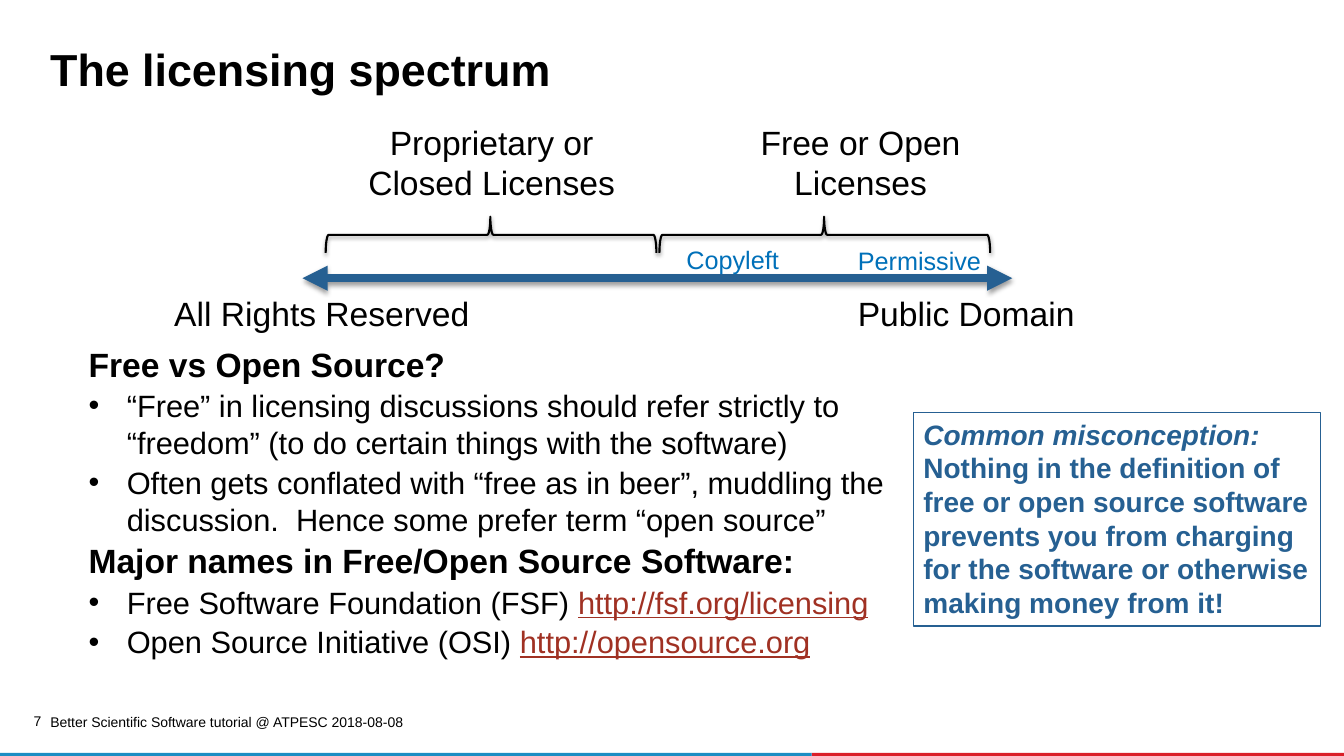
"""Build the licensing spectrum slide."""
from dataclasses import dataclass

from lxml import etree
from pptx import Presentation
from pptx import util as u
from pptx.dml.color import RGBColor
from pptx.enum import shapes, text
from pptx.oxml import ns

BLACK = RGBColor(0x00, 0x00, 0x00)
STEEL = RGBColor(0x26, 0x60, 0x92)
SKY = RGBColor(0x00, 0x70, 0xB9)
LINK = RGBColor(0xA0, 0x31, 0x23)
BAR_BLUE = RGBColor(0x1B, 0x8D, 0xC3)
BAR_RED = RGBColor(0xDA, 0x1F, 0x28)
LEFT, CENTER, RIGHT = text.PP_ALIGN.LEFT, text.PP_ALIGN.CENTER, text.PP_ALIGN.RIGHT
TOP, MIDDLE = text.MSO_ANCHOR.TOP, text.MSO_ANCHOR.MIDDLE


@dataclass(frozen=True)
class Span:
    words: str
    size: float
    color: RGBColor = BLACK
    bold: bool = False
    italic: bool = False
    underline: bool = False


@dataclass(frozen=True)
class Para:
    spans: tuple[Span, ...]
    bullet: bool = False
    align: text.PP_ALIGN = LEFT
    spacing: float = 1.0


@dataclass(frozen=True)
class Box:
    at: tuple[float, float, float, float]
    paras: tuple[Para, ...]
    wrap: bool = True
    anchor: text.MSO_ANCHOR = TOP
    inset: bool = True


def label(words: str, size: float, at: tuple[float, float, float, float],
          color: RGBColor = BLACK, align: text.PP_ALIGN = LEFT, wrap: bool = True,
          anchor: text.MSO_ANCHOR = TOP) -> Box:
    """Describe a box that holds one plain line of text."""
    return Box(at, (Para((Span(words, size, color),), align=align),), wrap, anchor)


def heading(words: str) -> Para:
    """Describe a bold heading of the body."""
    return Para((Span(words, 24, bold=True),))


def bullet(words: str, link: str = "") -> Para:
    """Describe a bullet that may end in a web address."""
    spans = (Span(words, 22),)
    if link:
        spans += (Span(link, 22, LINK, underline=True),)
    return Para(spans, bullet=True)


TITLE = Box((0.4, 0.45, 12.44, 0.56),
            (Para((Span("The licensing spectrum", 32, bold=True),), spacing=0.85),))
NUMBER = Box((0.18, 7.09, 0.23, 0.17),
             (Para((Span("7", 10),), align=RIGHT, spacing=0.9),), inset=False)
FOOTER = label("Better Scientific Software tutorial @ ATPESC 2018-08-08", 10,
               (0.4, 7.05, 3.78, 0.23), anchor=MIDDLE)
SPECTRUM_LABELS = (
    label("All Rights Reserved", 24, (1.63, 2.86, 3.16, 0.5), wrap=False),
    label("Public Domain", 24, (8.41, 2.86, 2.71, 0.5)),
    label("Proprietary or Closed Licenses", 24, (3.32, 1.16, 3.11, 0.91), align=CENTER),
    label("Free or Open Licenses", 24, (7.22, 1.16, 2.63, 0.91), align=CENTER),
    label("Copyleft", 18, (6.71, 2.37, 1.13, 0.4), SKY, wrap=False),
    label("Permissive", 18, (8.41, 2.38, 1.44, 0.4), SKY, wrap=False),
)
BODY = Box((0.78, 3.36, 8.17, 3.27), (
    heading("Free vs Open Source?"),
    bullet("“Free” in licensing discussions should refer strictly to “freedom” "
           "(to do certain things with the software)"),
    bullet("Often gets conflated with “free as in beer”, muddling the discussion.  "
           "Hence some prefer term “open source”"),
    heading("Major names in Free/Open Source Software:"),
    bullet("Free Software Foundation (FSF) ", "http://fsf.org/licensing"),
    bullet("Open Source Initiative (OSI) ", "http://opensource.org"),
))
CALLOUT = Box((9.06, 4.09, 4.04, 2.12), (Para((
    Span("Common misconception: ", 20, STEEL, bold=True, italic=True),
    Span("Nothing in the definition of free or open source software prevents you from "
         "charging for the software or otherwise making money from it!", 20, STEEL, bold=True),
)),))


def inches(at: tuple[float, ...]) -> list[u.Length]:
    """Turn plain numbers into lengths."""
    return [u.Inches(value) for value in at]


def write(frame, box: Box) -> None:
    """Fill a text frame with the paragraphs of a box."""
    frame.word_wrap = box.wrap
    frame.vertical_anchor = box.anchor
    if not box.inset:
        frame.margin_left = frame.margin_right = frame.margin_top = frame.margin_bottom = 0
    for index, para in enumerate(box.paras):
        line = frame.add_paragraph() if index else frame.paragraphs[0]
        line.alignment = para.align
        line.line_spacing = para.spacing
        if index:
            line.space_before = u.Pt(2)
        if para.bullet:
            props = line._p.get_or_add_pPr()
            props.set("marL", str(u.Inches(0.38)))
            props.set("indent", str(-u.Inches(0.38)))
            etree.SubElement(props, ns.qn("a:buFont"), typeface="Arial")
            etree.SubElement(props, ns.qn("a:buChar"), char="•")
        for span in para.spans:
            run = line.add_run()
            run.text = span.words
            font = run.font
            font.name, font.size = "Arial", u.Pt(span.size)
            font.bold, font.italic, font.underline = span.bold, span.italic, span.underline
            font.color.rgb = span.color


def add_text(page, box: Box) -> None:
    """Add a text box."""
    write(page.shapes.add_textbox(*inches(box.at)).text_frame, box)


def add_shadow(props) -> None:
    """Append a soft shadow that falls straight down."""
    effects = etree.SubElement(props, ns.qn("a:effectLst"))
    shadow = etree.SubElement(effects, ns.qn("a:outerShdw"), blurRad=str(u.Pt(3.1)),
                              dist=str(u.Pt(1.6)), dir="5400000", rotWithShape="0")
    color = etree.SubElement(shadow, ns.qn("a:srgbClr"), val="000000")
    etree.SubElement(color, ns.qn("a:alpha"), val="38000")


def add_bar(page, left: float, width: float, color: RGBColor) -> None:
    """Add one part of the strip along the bottom edge."""
    bar = page.shapes.add_shape(shapes.MSO_SHAPE.RECTANGLE, *inches((left, 7.47, width, 0.03)))
    bar.shadow.inherit = False
    bar.fill.solid()
    bar.fill.fore_color.rgb = color
    bar.line.fill.background()


def add_brace(page, left: float) -> None:
    """Add a brace that opens down onto the spectrum."""
    brace = page.shapes.add_shape(shapes.MSO_SHAPE.LEFT_BRACE, *inches((left, 0.69, 0.36, 3.28)))
    brace.rotation = 90
    brace.adjustments[0], brace.adjustments[1] = 0.083, 0.502
    brace.fill.background()
    brace.line.color.rgb = BLACK
    brace.line.width = u.Pt(1.5)
    add_shadow(brace._element.spPr)


def add_spectrum(page) -> None:
    """Add the double-headed arrow."""
    arrow = page.shapes.add_connector(shapes.MSO_CONNECTOR.STRAIGHT,
                                      *inches((3, 2.76, 10.04, 2.76)))
    arrow.line.color.rgb = STEEL
    arrow.line.width = u.Pt(6)
    for end in ("a:headEnd", "a:tailEnd"):
        etree.SubElement(arrow.line._get_or_add_ln(), ns.qn(end), type="triangle")
    add_shadow(arrow._element.spPr)


def add_callout(page) -> None:
    """Add the outlined note on the right."""
    note = page.shapes.add_shape(shapes.MSO_SHAPE.RECTANGLE, *inches(CALLOUT.at))
    note.shadow.inherit = False
    note.fill.background()
    note.line.color.rgb = STEEL
    note.line.width = u.Pt(1)
    write(note.text_frame, CALLOUT)


def main() -> None:
    """Draw the slide and save it."""
    deck = Presentation()
    deck.slide_width, deck.slide_height = inches((13.33, 7.5))
    page = deck.slides.add_slide(deck.slide_layouts[6])
    add_bar(page, 8.05, 5.29, BAR_RED)
    add_bar(page, -0.01, 8.06, BAR_BLUE)
    for box in (FOOTER, NUMBER, TITLE):
        add_text(page, box)
    add_spectrum(page)
    for left in (4.69, 8):
        add_brace(page, left)
    for box in (*SPECTRUM_LABELS, BODY):
        add_text(page, box)
    add_callout(page)
    deck.save("out.pptx")


if __name__ == "__main__":
    main()
